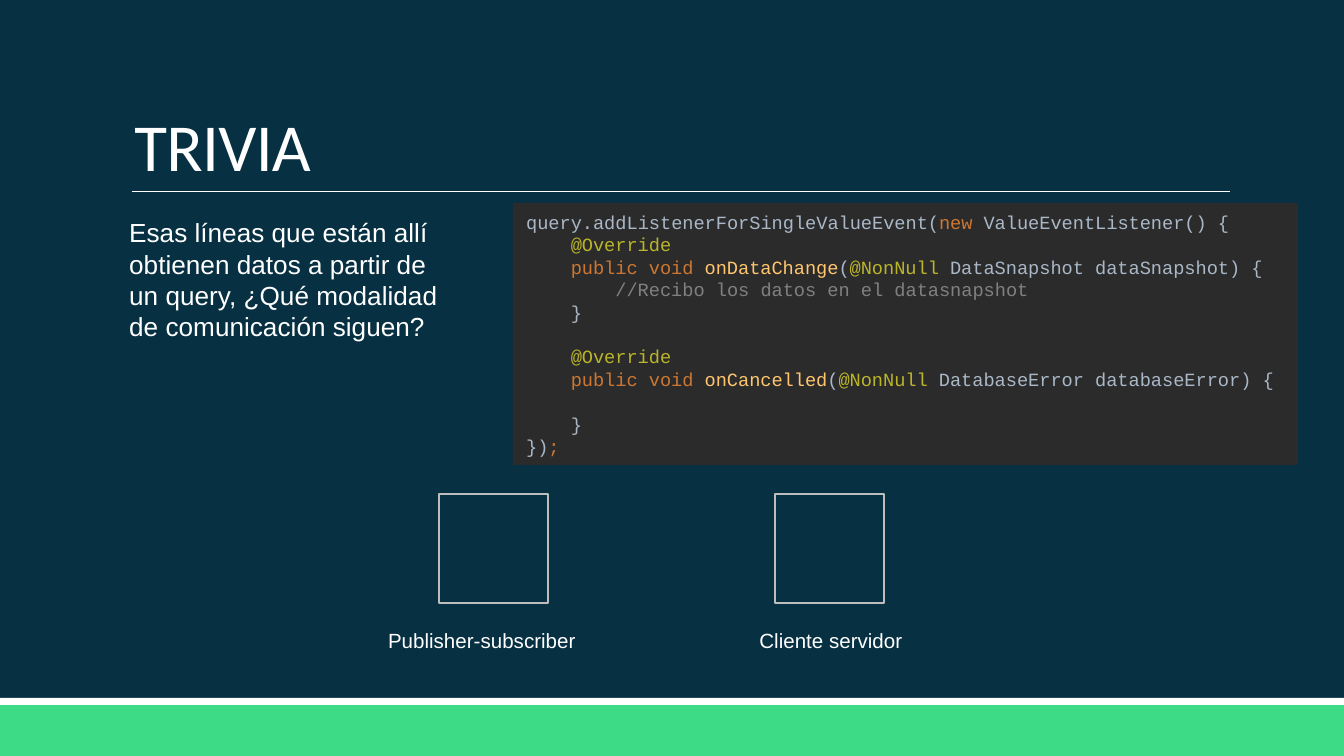
from dataclasses import dataclass

from lxml import etree
from pptx import Presentation
from pptx.dml.color import RGBColor
from pptx.enum.shapes import MSO_CONNECTOR, MSO_SHAPE
from pptx.enum.text import MSO_ANCHOR, MSO_AUTO_SIZE, PP_ALIGN
from pptx.oxml.ns import qn
from pptx.util import Pt

RECT = MSO_SHAPE.RECTANGLE
STRAIGHT = MSO_CONNECTOR.STRAIGHT
LEFT, CENTER = PP_ALIGN.LEFT, PP_ALIGN.CENTER
TOP, MIDDLE, BOTTOM = MSO_ANCHOR.TOP, MSO_ANCHOR.MIDDLE, MSO_ANCHOR.BOTTOM
GROW, FIXED = MSO_AUTO_SIZE.SHAPE_TO_FIT_TEXT, MSO_AUTO_SIZE.NONE
SCALE = 914400 / 134.4
TITLE_ONLY = 5


@dataclass(frozen=True)
class Theme:
    back: str = "073042"
    green: str = "3DDB85"
    white: str = "FFFFFF"
    frame: str = "BDBDBD"
    panel: str = "2B2B2B"
    plain: str = "A9B7C6"
    key: str = "CC7832"
    note: str = "BBB529"
    method: str = "FFC66D"
    remark: str = "808080"
    head: str = "Calibri"
    body: str = "Arial"
    mono: str = "Courier New"
    title: int = 36
    ask: int = 14
    label: int = 11
    code: int = 10


THEME = Theme()
CODE = [
    ("query.addListenerForSingleValueEvent(", THEME.plain),
    ("new ", THEME.key),
    ("ValueEventListener() {\n    ", THEME.plain),
    ("@Override\n    ", THEME.note),
    ("public void ", THEME.key),
    ("onDataChange", THEME.method),
    ("(", THEME.plain),
    ("@NonNull ", THEME.note),
    ("DataSnapshot dataSnapshot) {\n        ", THEME.plain),
    ("//Recibo los datos en el datasnapshot\n    ", THEME.remark),
    ("}\n\n    ", THEME.plain),
    ("@Override\n    ", THEME.note),
    ("public void ", THEME.key),
    ("onCancelled", THEME.method),
    ("(", THEME.plain),
    ("@NonNull ", THEME.note),
    ("DatabaseError databaseError) {\n\n    }\n})", THEME.plain),
    (";", THEME.key),
]
CHOICES = ["Publisher-subscriber", "Cliente servidor"]


def px(*sizes):
    return [round(size * SCALE) for size in sizes]


def rgb(color):
    return RGBColor.from_string(color)


def style(target, values):
    for name, value in values.items():
        setattr(target, name, value)


def add_break(para, font, size):
    para.add_line_break()
    props = etree.SubElement(para._p[-1], qn("a:rPr"), sz=str(size * 100))
    etree.SubElement(props, qn("a:latin"), typeface=font)


def add_run(para, text, font, size, color):
    for row, part in enumerate(text.split("\n")):
        if row:
            add_break(para, font, size)
        if part:
            run = para.add_run()
            run.text = part
            style(run.font, {"name": font, "size": Pt(size)})
            run.font.color.rgb = rgb(color)


def write(shape, parts, font, size, align=LEFT, **frame):
    style(shape.text_frame, {
        "word_wrap": True, "auto_size": GROW, "vertical_anchor": TOP, **frame,
    })
    para = shape.text_frame.paragraphs[0]
    para.alignment = align
    for text, color in parts:
        add_run(para, text, font, size, color)
    return para


def add_text(slide, box, text, size, align=LEFT):
    shape = slide.shapes.add_textbox(*px(*box))
    write(shape, [(text, THEME.white)], THEME.body, size, align)


def add_rect(slide, box, fill=None, line=None):
    shape = slide.shapes.add_shape(RECT, *px(*box))
    shape.shadow.inherit = False
    if fill:
        shape.fill.solid()
        shape.fill.fore_color.rgb = rgb(fill)
    else:
        shape.fill.background()
    if line:
        shape.line.color.rgb = rgb(line)
        shape.line.width = Pt(1.25)
    else:
        shape.line.fill.background()
    return shape


def add_rule(slide, ends):
    rule = slide.shapes.add_connector(STRAIGHT, *px(*ends))
    rule.line.color.rgb = rgb(THEME.white)
    rule.line.width = Pt(0.5)
    etree.SubElement(rule._element.spPr, qn("a:effectLst"))


def set_title(slide, box, text):
    title = slide.shapes.title
    style(title, dict(zip(("left", "top", "width", "height"), px(*box))))
    para = write(title, [(text, THEME.white)], THEME.head, THEME.title,
                 auto_size=FIXED, vertical_anchor=BOTTOM)
    para.line_spacing = 0.85
    para.runs[0].font._element.set("spc", "-40")


def add_code(slide, box):
    panel = add_rect(slide, box, THEME.panel)
    write(panel, CODE, THEME.mono, THEME.code,
          word_wrap=False, vertical_anchor=MIDDLE)


def add_choice(slide, place, text):
    add_text(slide, (326 + 349 * place, 621, 312, 39),
             text, THEME.label, CENTER)
    add_rect(slide, (439 + 336 * place, 494, 109, 109), line=THEME.frame)


def main():
    deck = Presentation()
    style(deck, dict(zip(("slide_width", "slide_height"), px(1344, 756))))
    slide = deck.slides.add_slide(deck.slide_layouts[TITLE_ONLY])
    slide.background.fill.solid()
    slide.background.fill.fore_color.rgb = rgb(THEME.back)

    add_rect(slide, (0, 705, 1344, 51), THEME.green)
    add_rect(slide, (0, 698, 1344, 7), THEME.white)
    add_rule(slide, (132, 192, 1230, 192))
    set_title(slide, (121, 32, 1109, 160), "TRIVIA")
    add_text(slide, (116, 210, 339, 140),
             "Esas líneas que están allí obtienen datos a partir de un query, "
             "¿Qué modalidad de comunicación siguen?", THEME.ask)
    for place, text in enumerate(CHOICES):
        add_choice(slide, place, text)
    add_code(slide, (513, 203, 785, 262))
    deck.save("out.pptx")


if __name__ == "__main__":
    main()
